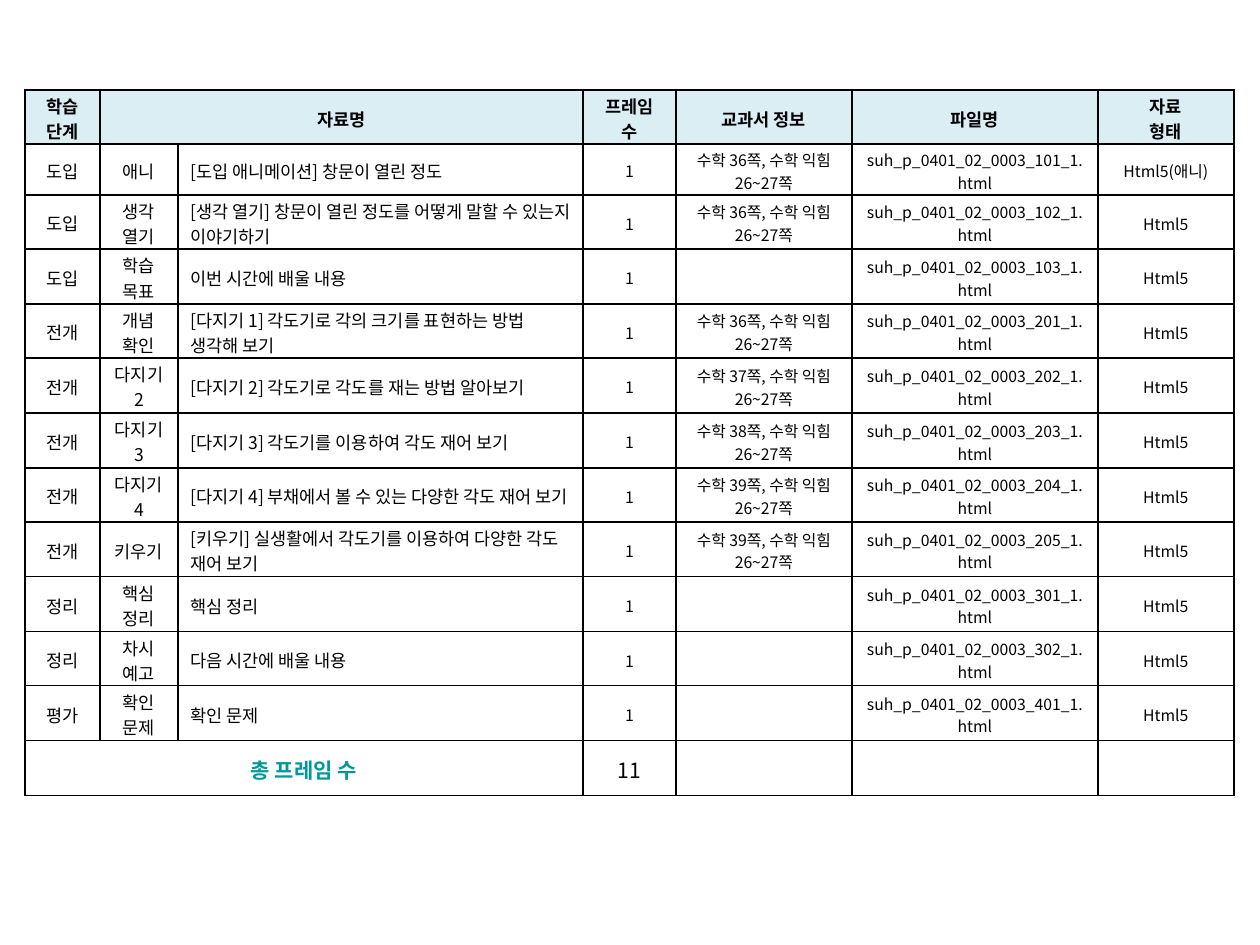
from dataclasses import dataclass

from lxml.etree import SubElement
from pptx import Presentation
from pptx.dml.color import RGBColor
from pptx.enum.text import MSO_ANCHOR, PP_ALIGN
from pptx.oxml.ns import qn
from pptx.util import Pt

EMU_PER_PX = 914400 / 126


@dataclass(frozen=True)
class Theme:
    font: str = "Noto Sans CJK KR"
    ink: str = "000000"
    accent: str = "009999"
    header_fill: str = "DBEEF4"
    small: int = 9
    body: int = 10
    total: int = 12
    border: int = 1


THEME = Theme()

COLUMNS = [75, 78, 405, 93, 176, 246, 136]
HEADER_HEIGHT, FIRST_HEIGHT, REST_HEIGHT = 54, 51, 601
HEADERS = ["학습 단계", "자료명", "", "프레임 수", "교과서 정보", "파일명", "자료\n형태"]

# Stage, section, title, textbook page, file number
LESSONS = [
    ("도입", "애니", "[도입 애니메이션] 창문이 열린 정도", 36, 101),
    ("도입", "생각 열기", "[생각 열기] 창문이 열린 정도를 어떻게 말할 수 있는지 이야기하기", 36, 102),
    ("도입", "학습 목표", "이번 시간에 배울 내용", None, 103),
    ("전개", "개념\n확인", "[다지기 1] 각도기로 각의 크기를 표현하는 방법 생각해 보기", 36, 201),
    ("전개", "다지기 2", "[다지기 2] 각도기로 각도를 재는 방법 알아보기", 37, 202),
    ("전개", "다지기 3", "[다지기 3] 각도기를 이용하여 각도 재어 보기", 38, 203),
    ("전개", "다지기\n4", "[다지기 4] 부채에서 볼 수 있는 다양한 각도 재어 보기", 39, 204),
    ("전개", "키우기", "[키우기] 실생활에서 각도기를 이용하여 다양한 각도 재어 보기", 39, 205),
    ("정리", "핵심 정리", "핵심 정리", None, 301),
    ("정리", "차시 예고", "다음 시간에 배울 내용", None, 302),
    ("평가", "확인 문제", "확인 문제", None, 401),
]


def px(n):
    return round(n * EMU_PER_PX)


def set_borders(cell):
    tc_pr = cell._tc.get_or_add_tcPr()
    for side in ("a:lnL", "a:lnR", "a:lnT", "a:lnB"):
        ln = SubElement(tc_pr, qn(side), w=str(Pt(THEME.border)))
        fill = SubElement(ln, qn("a:solidFill"))
        SubElement(fill, qn("a:srgbClr"), val=THEME.ink)


def write_text(tf, text, size=THEME.body, color=THEME.ink, bold=False,
               align=PP_ALIGN.CENTER):
    for i, line in enumerate(text.split("\n")):
        p = tf.add_paragraph() if i else tf.paragraphs[0]
        p.alignment = align
        r = p.add_run()
        r.text = line
        r.font.name = THEME.font
        r.font.size = Pt(size)
        r.font.bold = bold
        r.font.color.rgb = RGBColor.from_string(color)
        SubElement(r._r.get_or_add_rPr(), qn("a:ea"), typeface=THEME.font)


def style_cell(cell, fill=None):
    set_borders(cell)
    cell.vertical_anchor = MSO_ANCHOR.MIDDLE
    # Tight vertical margins keep two lines within the row
    cell.margin_top, cell.margin_bottom = px(3), 0
    if fill:
        cell.fill.solid()
        cell.fill.fore_color.rgb = RGBColor.from_string(fill)
    else:
        cell.fill.background()


def fill_row(table, row, texts, formats=None, fill=None):
    formats = formats or [{}] * len(texts)
    for col, (text, fmt) in enumerate(zip(texts, formats)):
        cell = table.cell(row, col)
        style_cell(cell, fill)
        if text:
            write_text(cell.text_frame, text, **fmt)


def row_heights():
    count = len(LESSONS)
    edges = [REST_HEIGHT * i // count for i in range(count + 1)]
    rest = [b - a for a, b in zip(edges, edges[1:])]
    return [HEADER_HEIGHT, FIRST_HEIGHT] + rest


def add_grid(slide, left, top):
    heights = row_heights()
    frame = slide.shapes.add_table(len(heights), len(COLUMNS), px(left), px(top),
                                   px(sum(COLUMNS)), px(sum(heights)))
    table = frame.table
    table.first_row = table.horz_banding = False
    for column, width in zip(table.columns, COLUMNS):
        column.width = px(width)
    for row, height in zip(table.rows, heights):
        row.height = px(height)
    return table


def lesson_texts(stage, section, title, page, number):
    book = f"수학 {page}쪽, 수학 익힘 26~27쪽" if page else ""
    kind = "Html5(애니)" if section == "애니" else "Html5"
    return [stage, section, title, "1", book,
            f"suh_p_0401_02_0003_{number}_1.html", kind]


def main():
    prs = Presentation()
    prs.slide_width, prs.slide_height = px(1260), px(945)
    slide = prs.slides.add_slide(prs.slide_layouts[6])
    table = add_grid(slide, 25, 90)
    total_row = len(LESSONS) + 1

    # Header
    fill_row(table, 0, HEADERS, [{"bold": True}] * len(HEADERS), THEME.header_fill)
    table.cell(0, 1).merge(table.cell(0, 2))

    # Lesson rows
    small = {"size": THEME.small}
    formats = [{}, {}, {"align": PP_ALIGN.LEFT}] + [small] * 4
    for row, lesson in enumerate(LESSONS, 1):
        texts = lesson_texts(*lesson)
        first = [dict(f, size=THEME.small) if row == 0 else f for f in formats]
        fill_row(table, row, texts, first)

    # Total
    total = {"size": THEME.total}
    label = dict(total, color=THEME.accent, bold=True)
    fill_row(table, total_row, ["총 프레임 수", "", "", str(len(LESSONS)), "", "", ""],
             [label] + [total] * 6)
    table.cell(total_row, 0).merge(table.cell(total_row, 2))

    prs.save("out.pptx")


if __name__ == "__main__":
    main()
